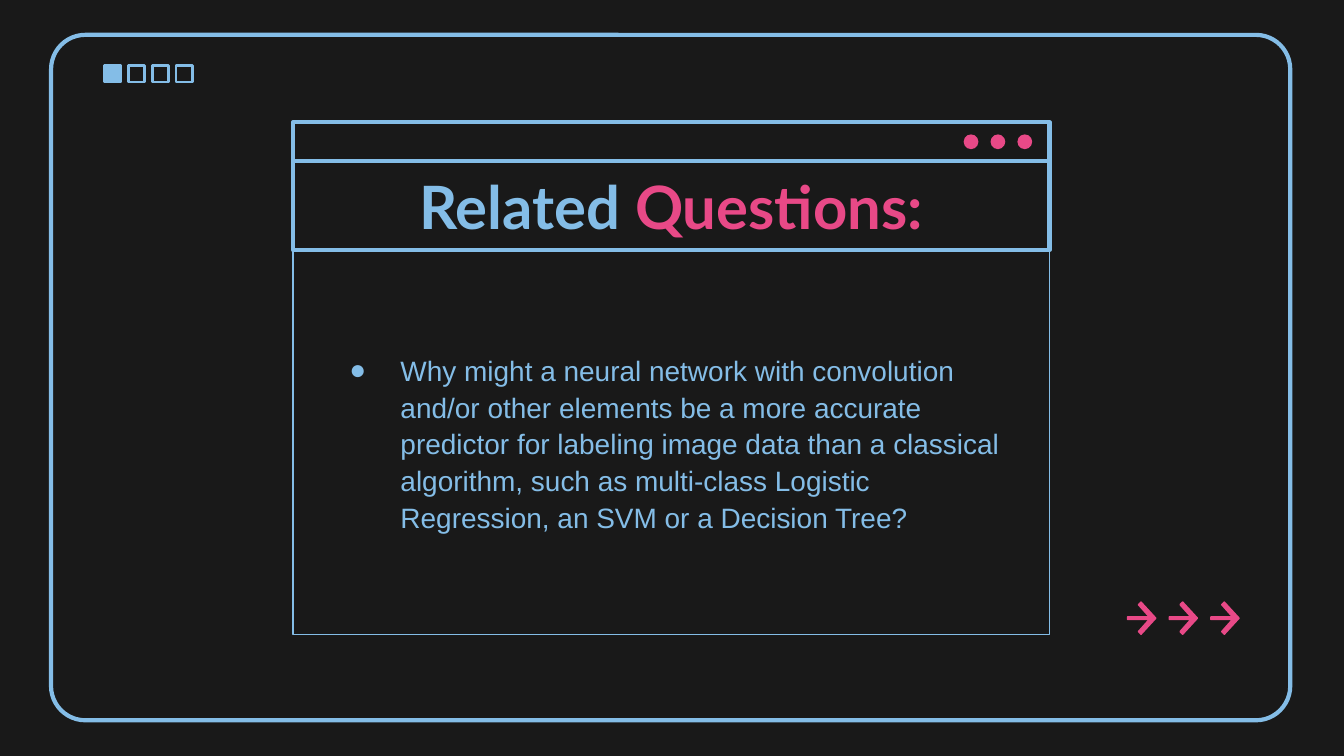
from lxml.etree import SubElement
from pptx import Presentation
from pptx.dml.color import RGBColor
from pptx.enum.shapes import MSO_SHAPE
from pptx.enum.text import MSO_ANCHOR, PP_ALIGN
from pptx.oxml.ns import qn
from pptx.util import Inches, Pt

BLUE, PINK, DARK = "84BDE7", "E84987", "191919"


def style(sp, fill=None, line=None, width=0):
    sp.shadow.inherit = False
    if fill:
        sp.fill.solid()
        sp.fill.fore_color.rgb = RGBColor.from_string(fill)
    else:
        sp.fill.background()
    if line:
        sp.line.color.rgb = RGBColor.from_string(line)
        sp.line.width = Pt(width)
    else:
        sp.line.fill.background()


def add_shape(kind, x, y, w, h, fill=None, line=None, width=0):
    sp = s.shapes.add_shape(kind, Inches(x), Inches(y), Inches(w), Inches(h))
    style(sp, fill, line, width)
    return sp


prs = Presentation()
prs.slide_width = Inches(10)
prs.slide_height = Inches(10 * 9 / 16)
s = prs.slides.add_slide(prs.slide_layouts[6])
s.background.fill.solid()
s.background.fill.fore_color.rgb = RGBColor.from_string(DARK)

for i in range(4):
    add_shape(MSO_SHAPE.RECTANGLE, 0.78 + i * 0.53 / 3, 0.49, 0.12, 0.12,
              BLUE if i == 0 else None, BLUE, 1.5)

frame = add_shape(MSO_SHAPE.ROUNDED_RECTANGLE, 0.38, 0.26, 9.22, 5.1, None, BLUE, 2.25)
frame.adjustments[0] = 0.05

title = add_shape(MSO_SHAPE.RECTANGLE, 2.18, 1.2, 5.63, 0.66, None, BLUE, 2.25)
body = add_shape(MSO_SHAPE.RECTANGLE, 2.18, 1.86, 5.63, 2.86, None, BLUE, 0.75)
for sp, side in ((title, 0.1), (body, 0.3)):
    tf = sp.text_frame
    tf.word_wrap = True
    tf.vertical_anchor = MSO_ANCHOR.MIDDLE
    tf.margin_left = tf.margin_right = Inches(side)
    tf.margin_top = tf.margin_bottom = Inches(0.1)

p = title.text_frame.paragraphs[0]
p.alignment = PP_ALIGN.CENTER
for text, color in (("Related ", BLUE), ("Questions:", PINK)):
    r = p.add_run()
    r.text = text
    r.font.name, r.font.size, r.font.bold = "Lato", Pt(32), True
    r.font.color.rgb = RGBColor.from_string(color)

p = body.text_frame.paragraphs[0]
p.text = (
    "Why might a neural network with convolution and/or other elements be a more "
    "accurate predictor for labeling image data than a classical algorithm, such as "
    "multi-class Logistic Regression, an SVM or a Decision Tree?"
)
p.alignment = PP_ALIGN.LEFT
p.line_spacing = 1.1
p.space_before = Pt(15)
r = p.runs[0]
r.font.name, r.font.size = "Arial", Pt(15)
r.font.color.rgb = RGBColor.from_string(BLUE)
pPr = p._p.get_or_add_pPr()
pPr.set("marL", str(Inches(0.5)))
pPr.set("indent", str(Inches(-0.38)))
SubElement(SubElement(pPr, qn("a:buClr")), qn("a:srgbClr"), val=BLUE)
SubElement(pPr, qn("a:buFont"), typeface="Arial")
SubElement(pPr, qn("a:buChar"), char="●")

add_shape(MSO_SHAPE.RECTANGLE, 2.18, 0.91, 5.63, 0.29, None, BLUE, 2.25)
for i in range(3):
    add_shape(MSO_SHAPE.OVAL, 7.17 + i * 0.2, 1, 0.11, 0.11, PINK)

arrow = [(0.1, 0), (0.08, 0.02), (0.16, 0.11), (0, 0.11), (0, 0.13),
         (0.16, 0.13), (0.08, 0.22), (0.1, 0.24), (0.21, 0.12)]
for i in range(3):
    points = [(Inches(8.39 + i * 0.31 + x), Inches(4.48 + y)) for x, y in arrow]
    fb = s.shapes.build_freeform(*points[0])
    fb.add_line_segments(points[1:], close=True)
    style(fb.convert_to_shape(), PINK, PINK, 0.75)

prs.save("out.pptx")
